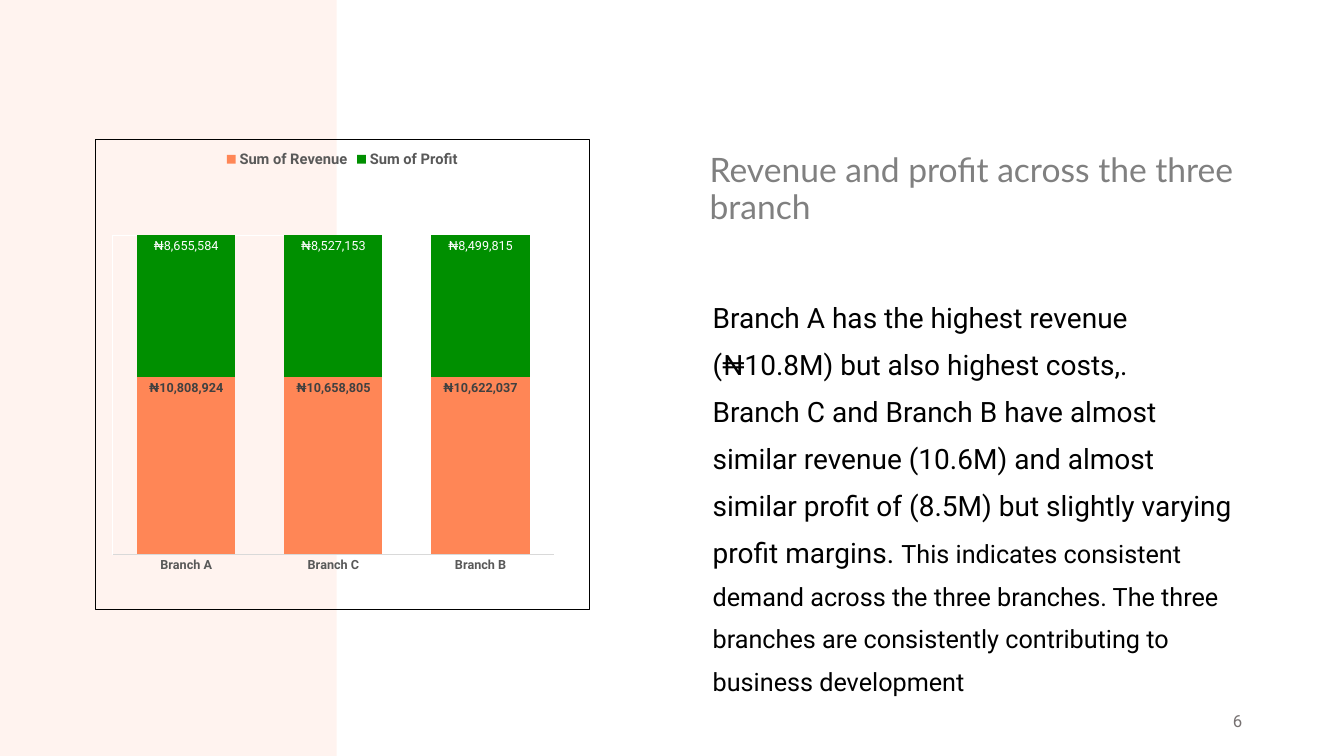
from dataclasses import dataclass

import lxml.etree
import pptx
import pptx.chart.data
import pptx.dml.color
import pptx.enum.chart
import pptx.enum.shapes
import pptx.enum.text
import pptx.oxml
import pptx.oxml.ns
import pptx.util

Inches = pptx.util.Inches
Pt = pptx.util.Pt
Align = pptx.enum.text.PP_ALIGN
Anchor = pptx.enum.text.MSO_ANCHOR
ChartEnum = pptx.enum.chart
qn = pptx.oxml.ns.qn


@dataclass(frozen=True)
class Theme:
    heading_font: str = "Lato"
    text_font: str = "Roboto"
    band: str = "FFE9E0"
    heading: str = "808080"
    ink: str = "000000"
    page: str = "767171"
    axis_text: str = "595959"
    axis_line: str = "D9D9D9"
    plot_edge: str = "FFFFFF"
    heading_size: float = 24
    body_size: float = 20
    remark_size: float = 18
    page_size: float = 12
    legend_size: float = 10.5
    label_size: float = 9


@dataclass(frozen=True)
class Box:
    left: float
    top: float
    width: float
    height: float

    def lengths(self) -> tuple:
        return tuple(Inches(v) for v in (self.left, self.top, self.width, self.height))


@dataclass(frozen=True)
class Passage:
    text: str
    size: float


@dataclass(frozen=True)
class TextBlock:
    box: Box
    paragraphs: tuple[tuple[Passage, ...], ...]
    font: str
    color: str
    line_spacing: float = 1.0
    anchor: Anchor = Anchor.MIDDLE
    align: Align = Align.LEFT


@dataclass(frozen=True)
class Measure:
    name: str
    amounts: tuple[int, ...]
    fill: str
    label_color: str
    label_bold: bool


THEME = Theme()
NAIRA = '"₦"#,##0'
BAND = Box(0, 0, 3.34, 7.5)
CHART = Box(0.94, 1.38, 4.91, 4.67)
PLOT = Box(0.035, 0.204, 0.894, 0.679)
BRANCHES = ("Branch A", "Branch C", "Branch B")
MEASURES = (
    Measure("Sum of Revenue", (10808924, 10658805, 10622037), "FF8656", "404040", True),
    Measure("Sum of Profit", (8655584, 8527153, 8499815), "008F00", "FFFFFF", False),
)
TEXTS = (
    TextBlock(
        Box(6.94, 1.16, 5.47, 1.45),
        ((Passage("Revenue and profit across the three branch", THEME.heading_size),),),
        THEME.heading_font, THEME.heading, 0.9,
    ),
    TextBlock(
        Box(6.97, 2.8, 5.42, 3.77),
        (
            (Passage("Branch A has the highest revenue (₦10.8M) but also highest costs,.",
                     THEME.body_size),),
            (Passage("Branch C and Branch B have almost similar revenue (10.6M) and almost "
                     "similar profit of (8.5M) but slightly varying profit margins. ",
                     THEME.body_size),
             Passage("This indicates consistent demand across the three branches. The three "
                     "branches are consistently contributing to business development",
                     THEME.remark_size)),
        ),
        THEME.text_font, THEME.ink, 1.4, Anchor.TOP,
    ),
    TextBlock(
        Box(9.42, 6.95, 3, 0.4), ((Passage("6", THEME.page_size),),),
        THEME.text_font, THEME.page, align=Align.RIGHT,
    ),
)


def rgb(color: str) -> pptx.dml.color.RGBColor:
    """Turn a hex string into a colour."""
    return pptx.dml.color.RGBColor.from_string(color)


def style_font(font, name: str, color: str, size: float | None = None,
               bold: bool = False) -> None:
    """Set the face, colour, weight and optional size of a font."""
    font.name = name
    font.color.rgb = rgb(color)
    font.bold = bold
    if size is not None:
        font.size = Pt(size)


def draw_band(slide) -> None:
    """Draw the half-transparent band on the left."""
    band = slide.shapes.add_shape(pptx.enum.shapes.MSO_SHAPE.RECTANGLE, *BAND.lengths())
    band.shadow.inherit = False
    band.fill.solid()
    band.fill.fore_color.rgb = rgb(THEME.band)
    band.line.fill.background()
    tint = band.fill._xPr.find(".//" + qn("a:srgbClr"))
    lxml.etree.SubElement(tint, qn("a:alpha"), val="50000")


def draw_text(slide, block: TextBlock) -> None:
    """Draw one block of text."""
    frame = slide.shapes.add_textbox(*block.box.lengths()).text_frame
    frame.word_wrap = True
    frame.vertical_anchor = block.anchor
    for index, passages in enumerate(block.paragraphs):
        paragraph = frame.add_paragraph() if index else frame.paragraphs[0]
        paragraph.alignment = block.align
        paragraph.line_spacing = block.line_spacing
        style_font(paragraph.font, block.font, block.color, passages[0].size)
        for passage in passages:
            run = paragraph.add_run()
            run.text = passage.text
            style_font(run.font, block.font, block.color, passage.size)


def outline(color: str):
    """Build unfilled chart shape properties with a thin line."""
    return pptx.oxml.parse_xml(
        f'<c:spPr {pptx.oxml.ns.nsdecls("c", "a")}><a:noFill/><a:ln w="9525"><a:solidFill>'
        f'<a:srgbClr val="{color}"/></a:solidFill></a:ln></c:spPr>'
    )


def frame_chart(chart) -> None:
    """Place the plot area and outline the chart."""
    root = chart._chartSpace.find(qn("c:chart"))
    root.addnext(outline(THEME.ink))
    plot_area = root.find(qn("c:plotArea"))
    for old in plot_area.findall(qn("c:layout")):
        plot_area.remove(old)
    layout = lxml.etree.Element(qn("c:layout"))
    manual = lxml.etree.SubElement(layout, qn("c:manualLayout"))
    settings = (("layoutTarget", "inner"), ("xMode", "edge"), ("yMode", "edge"),
                ("x", PLOT.left), ("y", PLOT.top), ("w", PLOT.width), ("h", PLOT.height))
    for tag, value in settings:
        lxml.etree.SubElement(manual, qn(f"c:{tag}"), val=str(value))
    plot_area.insert(0, layout)
    plot_area.append(outline(THEME.plot_edge))


def draw_chart(slide) -> None:
    """Draw the stacked revenue and profit columns."""
    data = pptx.chart.data.CategoryChartData(number_format=NAIRA)
    data.categories = BRANCHES
    for measure in MEASURES:
        data.add_series(measure.name, measure.amounts)
    chart = slide.shapes.add_chart(
        ChartEnum.XL_CHART_TYPE.COLUMN_STACKED_100, *CHART.lengths(), data).chart
    style_font(chart.font, THEME.text_font, THEME.ink, 10)
    chart.has_title = False
    chart.has_legend = True
    chart.legend.position = ChartEnum.XL_LEGEND_POSITION.TOP
    chart.legend.include_in_layout = False
    style_font(chart.legend.font, THEME.text_font, THEME.axis_text, THEME.legend_size, True)
    chart.value_axis.visible = False
    chart.value_axis.has_major_gridlines = False
    branch_axis = chart.category_axis
    branch_axis.major_tick_mark = ChartEnum.XL_TICK_MARK.NONE
    branch_axis.format.line.color.rgb = rgb(THEME.axis_line)
    branch_axis.format.line.width = Pt(0.75)
    style_font(branch_axis.tick_labels.font, THEME.text_font, THEME.axis_text,
               THEME.label_size, True)
    columns = chart.plots[0]
    columns.gap_width = 50
    columns.overlap = 100
    columns.vary_by_categories = False
    for series, measure in zip(columns.series, MEASURES):
        series.format.fill.solid()
        series.format.fill.fore_color.rgb = rgb(measure.fill)
        labels = series.data_labels
        labels.show_value = True
        labels.number_format = NAIRA
        labels.number_format_is_linked = False
        labels.position = ChartEnum.XL_LABEL_POSITION.INSIDE_END
        style_font(labels.font, THEME.text_font, measure.label_color,
                   THEME.label_size, measure.label_bold)
    frame_chart(chart)


def main() -> None:
    """Build the slide and save it."""
    deck = pptx.Presentation()
    deck.slide_width, deck.slide_height = Inches(13.33), Inches(7.5)
    slide = deck.slides.add_slide(deck.slide_layouts[6])
    draw_band(slide)
    for block in TEXTS:
        draw_text(slide, block)
    draw_chart(slide)
    deck.save("out.pptx")


if __name__ == "__main__":
    main()
